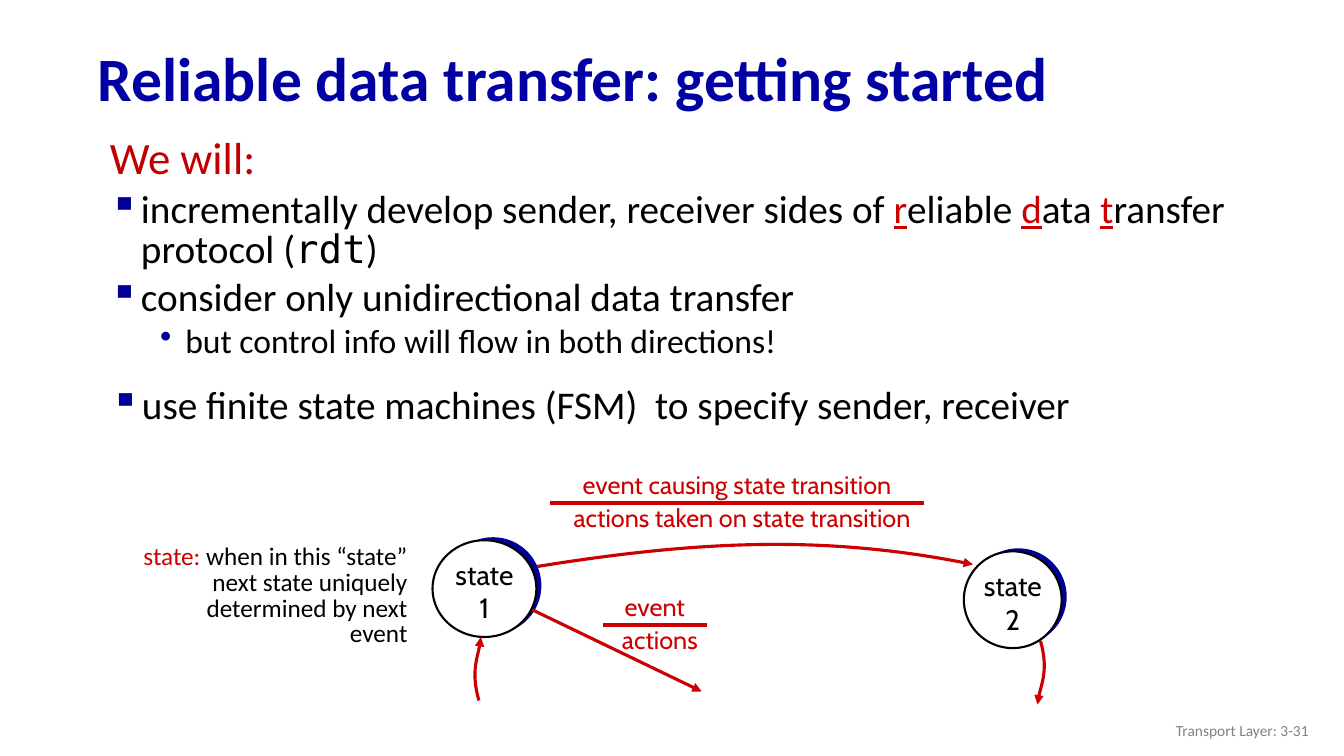
from lxml import etree
from pptx import Presentation
from pptx.dml.color import RGBColor
from pptx.enum.shapes import MSO_CONNECTOR, MSO_SHAPE
from pptx.enum.text import MSO_ANCHOR, PP_ALIGN
from pptx.oxml.ns import qn
from pptx.util import Inches, Pt

LINE, OVAL = MSO_CONNECTOR.STRAIGHT, MSO_SHAPE.OVAL
LEFT, CENTER, RIGHT = PP_ALIGN.LEFT, PP_ALIGN.CENTER, PP_ALIGN.RIGHT
TOP, MIDDLE = MSO_ANCHOR.TOP, MSO_ANCHOR.MIDDLE

TITLE = RGBColor(0x00, 0x00, 0xA3)
NAVY = RGBColor(0x00, 0x00, 0x99)
CRIMSON = RGBColor(0xC0, 0x00, 0x00)
RED = RGBColor(0xCC, 0x00, 0x00)
GRAY = RGBColor(0x80, 0x80, 0x80)
BLACK = RGBColor(0x00, 0x00, 0x00)
WHITE = RGBColor(0xFF, 0xFF, 0xFF)
SANS, ROUND, MONO = "Calibri", "Cabin", "DejaVu Sans Mono"


def style(run, size, color, font=SANS, bold=False):
    run.font.size = Pt(size)
    run.font.name = font
    run.font.bold = bold
    run.font.color.rgb = color


def add_text(slide, box, text, size, color, font=SANS, align=LEFT,
             anchor=TOP, wrap=True, bold=False):
    frame = slide.shapes.add_textbox(*map(Inches, box)).text_frame
    frame.text = text
    frame.word_wrap = wrap
    frame.vertical_anchor = anchor
    for para in frame.paragraphs:
        para.alignment = align
        for run in para.runs:
            style(run, size, color, font, bold)
    return frame


def add_run(para, text, size, color, font=SANS):
    run = para.add_run()
    run.text = text
    style(run, size, color, font)
    return run


def set_para(para, size, margin, hang, bullet=None):
    para.line_spacing = 0.85
    para.space_before = Pt(0.2 * size)
    props = para._p.get_or_add_pPr()
    props.set("marL", str(Inches(margin)))
    props.set("indent", str(Inches(-hang)))
    if bullet:
        tint = etree.SubElement(props, qn("a:buClr"))
        etree.SubElement(tint, qn("a:srgbClr"), val=str(NAVY))
        etree.SubElement(props, qn("a:buChar"), char=bullet)


def set_line(shape, arrow):
    shape.line.color.rgb = RED
    shape.line.width = Pt(2.25)
    if arrow:
        etree.SubElement(shape.line._get_or_add_ln(), qn("a:tailEnd"), type="triangle")


def add_line(slide, start, end, arrow=False):
    line = slide.shapes.add_connector(LINE, *map(Inches, start + end))
    set_line(line, arrow)
    etree.SubElement(line._element.spPr, qn("a:effectLst"))


def add_curve(slide, start, *points):
    """Arrow along a cubic curve: two control points, then the end."""
    pen = slide.shapes.build_freeform(*map(Inches, start))
    pen.add_line_segments([tuple(map(Inches, p)) for p in points], close=False)
    curve = pen.convert_to_shape()
    curve.shadow.inherit = False
    curve.fill.background()
    set_line(curve, True)
    # Turn the three straight segments into one cubic segment
    legs = list(curve._element.iter(qn("a:lnTo")))
    cubic = etree.SubElement(legs[0].getparent(), qn("a:cubicBezTo"))
    for leg in legs:
        cubic.append(leg[0])
        leg.getparent().remove(leg)


def add_disc(slide, box, color):
    disc = slide.shapes.add_shape(OVAL, *map(Inches, box))
    disc.shadow.inherit = False
    disc.fill.solid()
    disc.fill.fore_color.rgb = color
    disc.line.fill.background()
    return disc


def add_state(slide, box, number):
    x, y, w, h = box
    add_disc(slide, (x + w - 0.91, y - 0.03, 0.96, h), NAVY)
    disc = add_disc(slide, box, WHITE)
    disc.line.color.rgb = BLACK
    disc.line.width = Pt(1.5)
    add_text(slide, (x, y + 0.12, w, 0.77), f"state\n{number}", 20, BLACK,
             ROUND, CENTER, wrap=False)


def add_label(slide, box, event, actions):
    """Event above a rule, actions below it."""
    x, y, w, h = box
    mid = y + h / 2
    add_text(slide, (x, y, w, 0.4), event, 18, RED, ROUND, CENTER, wrap=False)
    add_text(slide, (x + 0.05, mid - 0.06, w, 0.4), actions, 18, RED, ROUND,
             CENTER, wrap=False)
    add_line(slide, (x, mid), (x + w, mid))


def add_body(slide, box):
    x, y, w, h = box
    frame = add_text(slide, box, "We will:", 32, CRIMSON)
    set_para(frame.paragraphs[0], 32, 0.31, 0.31)

    # First bullet, with the initials of rdt picked out
    para = frame.add_paragraph()
    set_para(para, 28, 0.31, 0.31, "▪")
    add_run(para, "incrementally develop sender, receiver sides of ", 28, BLACK)
    for first, rest in (("r", "eliable "), ("d", "ata "), ("t", "ransfer protocol (")):
        add_run(para, first, 28, RED).font.underline = True
        add_run(para, rest, 28, BLACK)
    add_run(para, "rdt", 28, BLACK, MONO)
    add_run(para, ")", 28, BLACK)

    # Second bullet and its sub-bullet
    para = frame.add_paragraph()
    set_para(para, 28, 0.31, 0.31, "▪")
    add_run(para, "consider only unidirectional data transfer", 28, BLACK)
    para = frame.add_paragraph()
    para.level = 1
    set_para(para, 24, 0.75, 0.25, "•")
    add_run(para, "but control info will flow in both directions!", 24, BLACK)

    # Last bullet, set apart
    frame = add_text(slide, (x + 0.01, y + 2.48, w, 0.59),
                     "use finite state machines (FSM)  to specify sender, receiver",
                     28, BLACK)
    set_para(frame.paragraphs[0], 28, 0.31, 0.31, "▪")


def add_machine(slide, box):
    x, y, w, h = box

    def at(dx, dy):
        return x + dx, y + dy

    # State note
    frame = add_text(slide, (*at(0, 0.75), 3.03, 1.35), "state:", 18, RED, align=RIGHT)
    para = frame.paragraphs[0]
    set_para(para, 18, 0.38, 0.38)
    add_run(para, " when in this “state” next state uniquely determined by next event",
            18, BLACK)

    # States
    add_state(slide, (*at(3.18, 0.75), 1.03, 0.96), 1)
    add_state(slide, (*at(8.45, 0.86), 0.97, 0.96), 2)

    # Transitions: between the states, into state 1, out of each state
    add_curve(slide, at(4.22, 1.01), at(5.83, 0.75), at(7.12, 0.7), at(8.54, 0.99))
    add_curve(slide, at(3.64, 2.34), at(3.56, 2.06), at(3.66, 1.8), at(3.66, 1.71))
    add_curve(slide, at(9.21, 1.75), at(9.29, 2.03), at(9.18, 2.29), at(9.18, 2.38))
    add_line(slide, at(4.17, 1.44), at(5.85, 2.25), arrow=True)

    # Transition labels
    add_label(slide, (*at(4.35, 0), 3.7, 0.76),
              "event causing state transition", "actions taken on state transition")
    add_label(slide, (*at(4.87, 1.21), 1.03, 0.76), "event", "actions")


def main():
    prs = Presentation()
    prs.slide_width, prs.slide_height = Inches(13.33), Inches(7.5)
    slide = prs.slides.add_slide(prs.slide_layouts[6])
    title = add_text(slide, (0.87, 0.32, 12.14, 0.98),
                     "Reliable data transfer: getting started", 44, TITLE,
                     anchor=MIDDLE, bold=True)
    title.paragraphs[0].line_spacing = 0.9
    add_body(slide, (0.99, 1.32, 12.09, 3.67))
    add_machine(slide, (1.11, 4.61, 9.47, 2.4))
    add_text(slide, (10.08, 7.05, 3, 0.4), "Transport Layer: 3-31", 11, GRAY,
             align=RIGHT, anchor=MIDDLE)
    prs.save("out.pptx")


if __name__ == "__main__":
    main()
